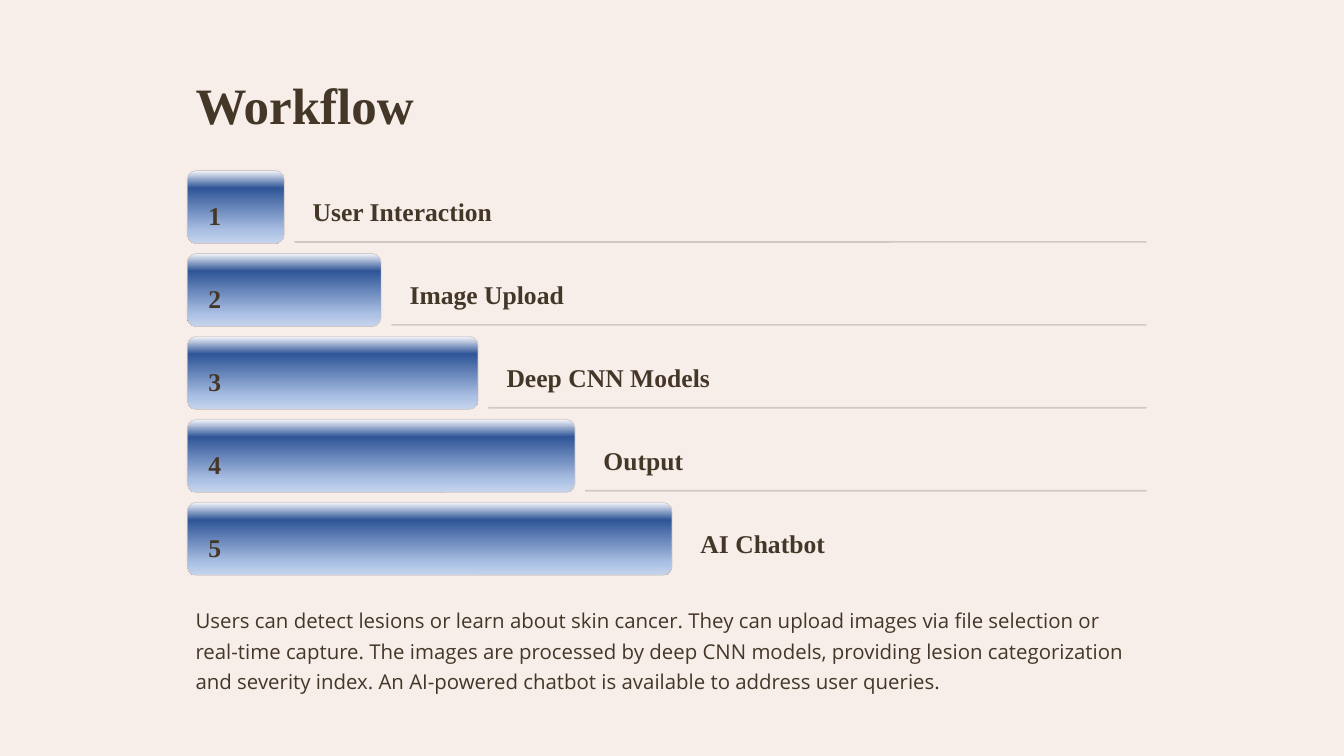
from dataclasses import dataclass

from pptx import Presentation
from pptx.dml.color import RGBColor
from pptx.enum.shapes import MSO_SHAPE
from pptx.enum.text import PP_ALIGN
from pptx.oxml import parse_xml
from pptx.oxml.ns import nsdecls, qn
from pptx.shapes.autoshape import Shape
from pptx.slide import Slide
from pptx.util import Inches, Pt

RECTANGLE = MSO_SHAPE.RECTANGLE
ROUNDED = MSO_SHAPE.ROUNDED_RECTANGLE
LEFT, CENTER = PP_ALIGN.LEFT, PP_ALIGN.CENTER

CREAM, BROWN, GREY = "F7EDE9", "443728", "D1C8C6"
BAR_STOPS = [(0, "F6F8FC"), (24, "2F5597"), (83, "ABC0E4"), (100, "C7D5ED")]
SERIF, SANS = "Times New Roman", "Open Sans"

MARGIN = 2.23
FIRST_TOP, LAST_TOP = 2.03, 5.98
LONGEST_BAR, BAR_HEIGHT = 5.77, 0.87
RULE_RIGHT = 13.65

SUMMARY = (
    "Users can detect lesions or learn about skin cancer. They can upload images "
    "via file selection or real-time capture. The images are processed by deep CNN "
    "models, providing lesion categorization and severity index. An AI-powered "
    "chatbot is available to address user queries."
)


@dataclass(frozen=True)
class Area:
    left: float
    top: float
    width: float
    height: float

    def lengths(self) -> list[Inches]:
        return [Inches(n) for n in (self.left, self.top, self.width, self.height)]


@dataclass(frozen=True)
class TextStyle:
    size: float
    line_spacing: float
    font: str = SERIF
    bold: bool = True
    alignment: PP_ALIGN = LEFT
    wrap: bool = False
    side_inset: float = 0.1


@dataclass(frozen=True)
class Step:
    label: str
    label_width: float
    number_width: float = 0.15


TITLE_STYLE = TextStyle(43.7, 54.7)
NUMBER_STYLE = TextStyle(21.9, 32.8, alignment=CENTER, side_inset=0)
LABEL_STYLE = TextStyle(21.9, 27.3)
SUMMARY_STYLE = TextStyle(17.5, 26.2, SANS, bold=False, wrap=True)

# Each label box has room for one full line and its side insets.
STEPS = [
    Step("User Interaction", 2.4, 0.11),
    Step("Image Upload", 2.1),
    Step("Deep CNN Models", 2.7),
    Step("Output", 1.25),
    Step("AI Chatbot", 1.75),
]


def color(value: str) -> RGBColor:
    return RGBColor.from_string(value)


def add_plain_shape(slide: Slide, kind: MSO_SHAPE, area: Area, fill: str) -> Shape:
    shape = slide.shapes.add_shape(kind, *area.lengths())
    shape.shadow.inherit = False
    shape.fill.solid()
    shape.fill.fore_color.rgb = color(fill)
    shape.line.fill.background()
    return shape


def add_bar(slide: Slide, area: Area) -> None:
    bar = add_plain_shape(slide, ROUNDED, area, GREY)
    bar.adjustments[0] = 0.126
    bar.line.color.rgb = color(GREY)
    bar.line.width = Pt(0.6)
    bar.fill.gradient()
    bar.fill.gradient_angle = 270
    stops = "".join(
        f'<a:gs pos="{percent * 1000}"><a:srgbClr val="{value}"/></a:gs>'
        for percent, value in BAR_STOPS
    )
    gradient = bar._element.spPr.find(qn("a:gradFill"))
    gradient.replace(
        gradient.find(qn("a:gsLst")),
        parse_xml(f"<a:gsLst {nsdecls('a')}>{stops}</a:gsLst>"),
    )


def add_text(slide: Slide, text: str, area: Area, style: TextStyle) -> None:
    box = slide.shapes.add_textbox(*area.lengths())
    frame_values = {
        "word_wrap": style.wrap,
        "margin_left": Inches(style.side_inset),
        "margin_right": Inches(style.side_inset),
    }
    for name, value in frame_values.items():
        setattr(box.text_frame, name, value)
    para = box.text_frame.paragraphs[0]
    para.alignment = style.alignment
    para.line_spacing = Pt(style.line_spacing)
    span = para.add_run()
    span.text = text
    font_values = {"name": style.font, "size": Pt(style.size), "bold": style.bold}
    for name, value in font_values.items():
        setattr(span.font, name, value)
    span.font.color.rgb = color(BROWN)


def add_step(slide: Slide, number: int, step: Step) -> None:
    count = len(STEPS)
    top = FIRST_TOP + (number - 1) * (LAST_TOP - FIRST_TOP) / (count - 1)
    width = LONGEST_BAR * number / count
    bar_right = MARGIN + width
    add_bar(slide, Area(MARGIN, top, width, BAR_HEIGHT))
    number_area = Area(MARGIN + 0.25, top + 0.21, step.number_width, 0.46)
    add_text(slide, str(number), number_area, NUMBER_STYLE)
    label_area = Area(bar_right + 0.24, top + 0.24, step.label_width, 0.38)
    add_text(slide, step.label, label_area, LABEL_STYLE)
    if number < count:
        rule_left = bar_right + 0.12
        rule_area = Area(rule_left, top + 0.84, RULE_RIGHT - rule_left, 0.02)
        rule = add_plain_shape(slide, ROUNDED, rule_area, GREY)
        rule.adjustments[0] = 0.5


def main() -> None:
    deck = Presentation()
    deck.slide_width, deck.slide_height = Inches(16), Inches(9)
    page = deck.slides.add_slide(deck.slide_layouts[6])
    add_plain_shape(page, RECTANGLE, Area(0, 0, 16, 9), CREAM)
    add_text(page, "Workflow", Area(MARGIN, 0.79, 6.08, 0.76), TITLE_STYLE)
    for number, step in enumerate(STEPS, start=1):
        add_step(page, number, step)
    add_text(page, SUMMARY, Area(MARGIN, 7.12, 11.54, 1.09), SUMMARY_STYLE)
    deck.save("out.pptx")


if __name__ == "__main__":
    main()
